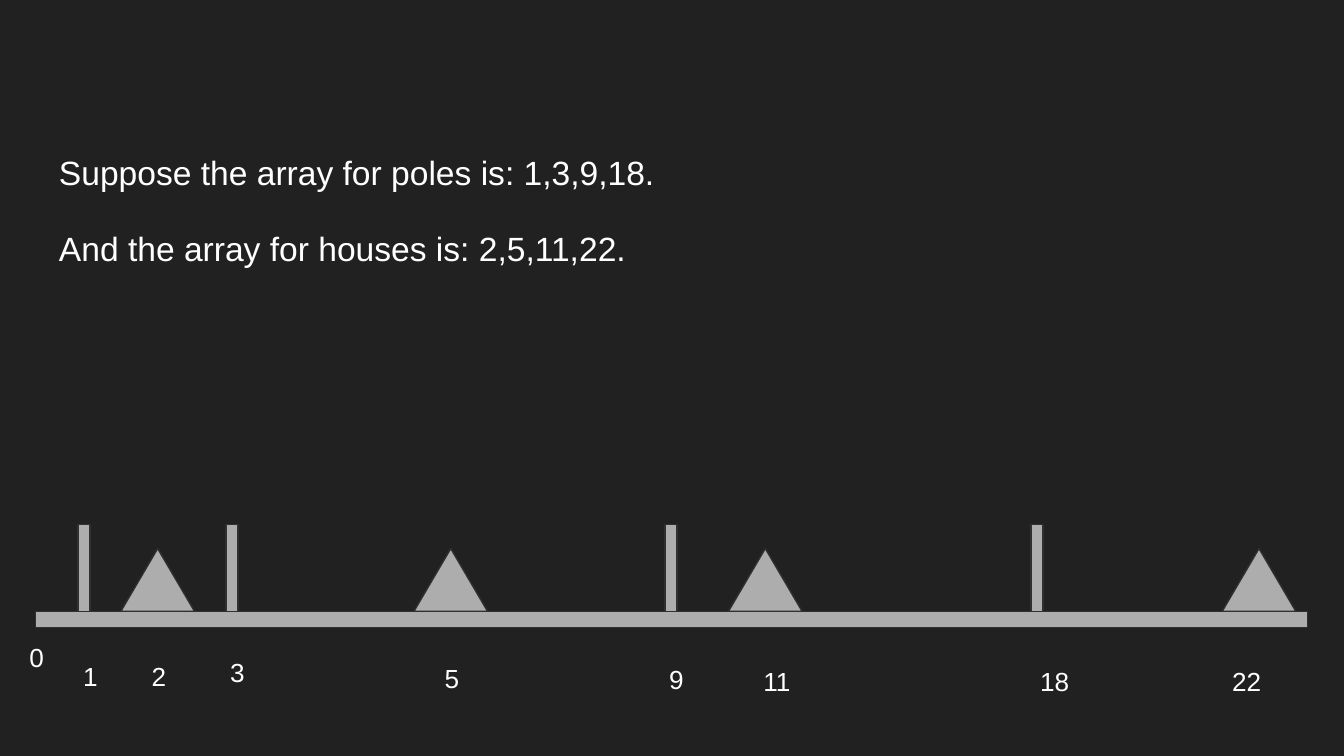
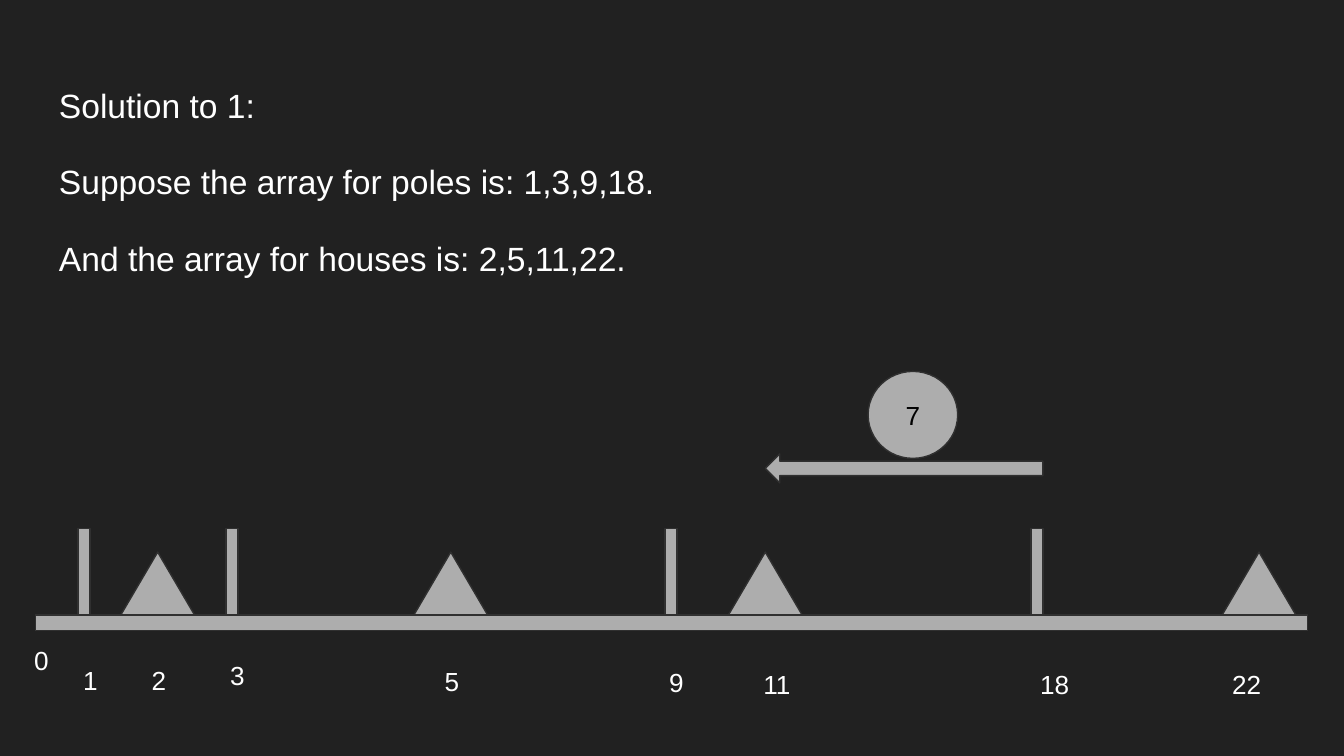
"""Build two slides that place poles and houses along a street."""
from pptx import Presentation
from pptx.dml.color import RGBColor
from pptx.enum.shapes import MSO_SHAPE
from pptx.enum.text import MSO_ANCHOR, PP_ALIGN
from pptx.util import Pt

DARK = RGBColor(0x21, 0x21, 0x21)
GREY = RGBColor(0xAD, 0xAD, 0xAD)
EDGE = RGBColor(0x30, 0x30, 0x30)
WHITE = RGBColor(0xFF, 0xFF, 0xFF)
BLACK = RGBColor(0x00, 0x00, 0x00)
FONT = "Arial"
INSET = 7.2

ARRAYS = [
    "Suppose the array for poles is: 1,3,9,18.",
    "And the array for houses is: 2,5,11,22.",
]
SLIDES = [
    {"lines": ARRAYS, "body_top": 33, "inset_top": 45.3, "ground": 327.5,
     "zero": (8.6, 336.2, 15.8, 20.9), "distance": None},
    {"lines": ["Solution to 1:"] + ARRAYS, "body_top": 35.2, "inset_top": INSET,
     "ground": 329.4, "zero": (12.3, 337.9, 13, 19.4), "distance": "7"},
]

POLE_CENTRES = [45, 124.3, 359.5, 555.5]
HOUSE_CENTRES = [84.5, 241.5, 410, 674.5]
LABELS = [
    ("1", 37.4, 19.3, 15.8, 25.2),
    ("2", 74.2, 19.1, 21.6, 15.8),
    ("3", 116.2, 16.8, 19.4, 20.9),
    ("5", 231.1, 20, 21.6, 20.9),
    ("9", 351.4, 20.6, 15.8, 20.9),
    ("11", 401.8, 21.6, 39.6, 20.9),
    ("18", 550.1, 21.6, 43.2, 15.8),
    ("22", 653, 21.6, 48.2, 15.8),
]

GROUND_LEFT, GROUND_W, GROUND_H = 19, 681.5, 8.6
POLE_W, POLE_H = 6.4, 46.4
HOUSE_W, HOUSE_H = 39.4, 33.6
ARROW_H, ARROW_RISE = 15.5, 86.2
BALL_W, BALL_H, BALL_RISE = 48, 46.6, 130.4


def write(sp, lines, size=14, color=WHITE, align=PP_ALIGN.LEFT,
          anchor=MSO_ANCHOR.TOP, inset_top=INSET, spacing=None, gap=0):
    tf = sp.text_frame
    tf.word_wrap = True
    tf.vertical_anchor = anchor
    tf.margin_left = tf.margin_right = tf.margin_bottom = Pt(INSET)
    tf.margin_top = Pt(inset_top)
    for i, line in enumerate(lines):
        p = tf.add_paragraph() if i else tf.paragraphs[0]
        p.alignment = align
        p.line_spacing = spacing
        p.space_before = Pt(gap if i else 0)
        r = p.add_run()
        r.text = line
        r.font.name = FONT
        r.font.size = Pt(size)
        r.font.color.rgb = color


def text(s, lines, x, y, w, h, **style):
    write(s.shapes.add_textbox(Pt(x), Pt(y), Pt(w), Pt(h)), lines, **style)


def shape(s, kind, x, y, w, h):
    sp = s.shapes.add_shape(kind, Pt(x), Pt(y), Pt(w), Pt(h))
    sp.shadow.inherit = False
    sp.fill.solid()
    sp.fill.fore_color.rgb = GREY
    sp.line.color.rgb = EDGE
    sp.line.width = Pt(0.75)
    return sp


def street(s, ground, zero):
    shape(s, MSO_SHAPE.RECTANGLE, GROUND_LEFT, ground, GROUND_W, GROUND_H)
    for kind, centres, w, h in (
        (MSO_SHAPE.RECTANGLE, POLE_CENTRES, POLE_W, POLE_H),
        (MSO_SHAPE.ISOSCELES_TRIANGLE, HOUSE_CENTRES, HOUSE_W, HOUSE_H),
    ):
        for cx in centres:
            shape(s, kind, cx - w / 2, ground - h, w, h)
    for label, x, drop, w, h in LABELS:
        text(s, [label], x, ground + drop, w, h)
    text(s, ["0"], *zero)


def gap_arrow(s, ground, distance):
    left, right = HOUSE_CENTRES[2], POLE_CENTRES[3] + POLE_W / 2
    shape(s, MSO_SHAPE.LEFT_ARROW, left, ground - ARROW_RISE, right - left, ARROW_H)
    ball = shape(s, MSO_SHAPE.OVAL, (left + right - BALL_W) / 2 + 4.7,
                 ground - BALL_RISE, BALL_W, BALL_H)
    write(ball, [distance], color=BLACK, align=PP_ALIGN.CENTER, anchor=MSO_ANCHOR.MIDDLE)


def main():
    prs = Presentation()
    prs.slide_width, prs.slide_height = Pt(720), Pt(405)
    for item in SLIDES:
        s = prs.slides.add_slide(prs.slide_layouts[6])
        s.background.fill.solid()
        s.background.fill.fore_color.rgb = DARK
        text(s, item["lines"], 24.5, item["body_top"], 671, 269.3, size=18,
             inset_top=item["inset_top"], spacing=1.15, gap=16)
        street(s, item["ground"], item["zero"])
        if item["distance"]:
            gap_arrow(s, item["ground"], item["distance"])
    prs.save("out.pptx")


if __name__ == "__main__":
    main()
